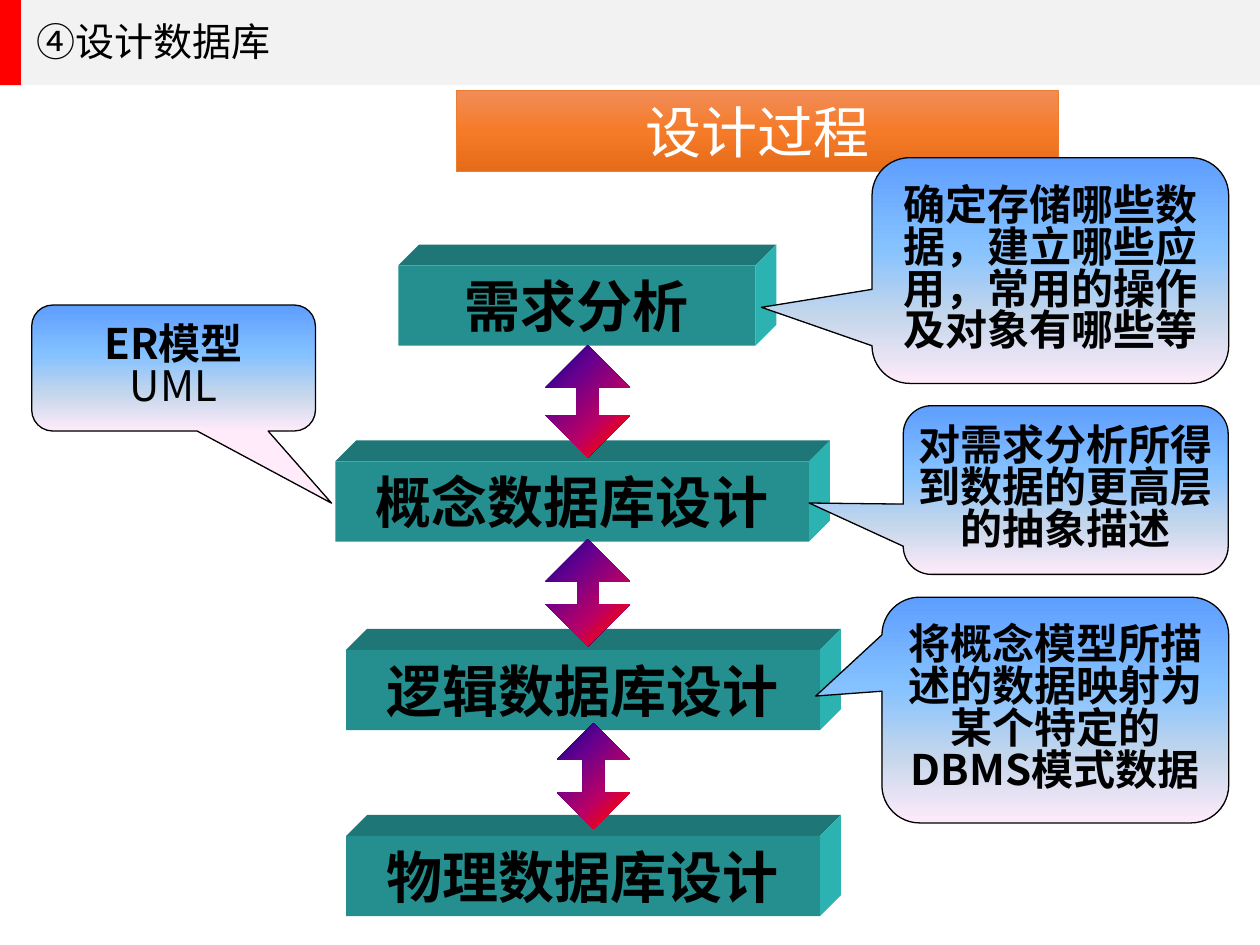
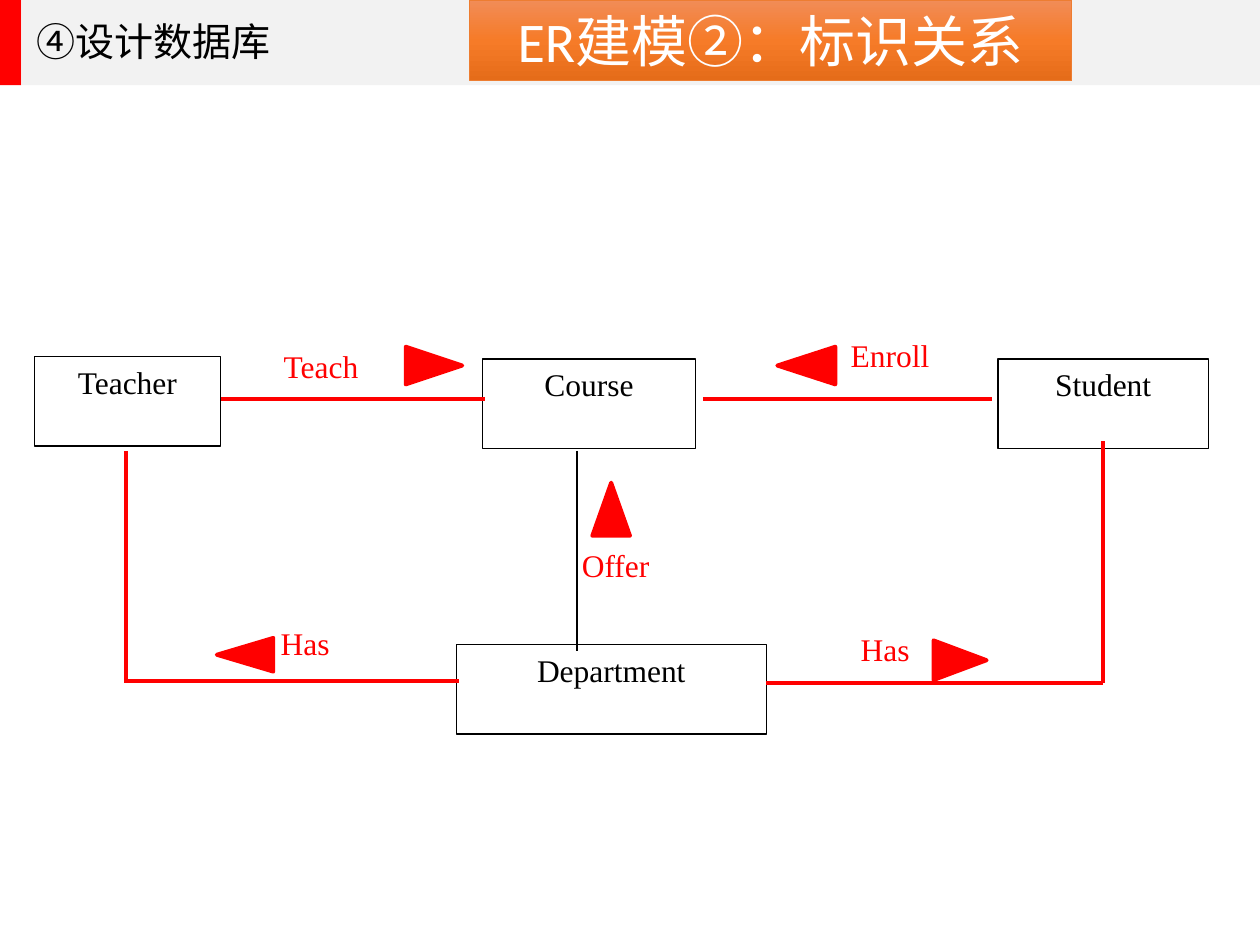
from pptx import Presentation
from pptx.dml.color import RGBColor as Rgb
from pptx.enum.shapes import MSO_CONNECTOR as Link, MSO_SHAPE as Kind
from pptx.enum.text import MSO_ANCHOR as Anchor, MSO_AUTO_SIZE as Fit, PP_ALIGN as Align
from pptx.oxml.ns import qn
from pptx.util import Cm, Pt
from lxml.etree import SubElement

HUES = {
    "red": "FF0000", "band": "F2F2F2", "black": "000000", "white": "FFFFFF",
    "edge": "ED7D31", "front": "248F8E", "top": "1E7676", "side": "2DB2B2",
}
FADES = {
    "orange": (90, [(0, "F18C57"), (50, "F67B28"), (100, "E56C19")]),
    "sky": (90, [(0, "5E9EFF"), (40, "85C2FF"), (70, "C4D6EB"), (100, "FFEBFA")]),
    "fire": (45, [(0, "000082"), (30, "66008F"), (65, "BA0066"),
                  (90, "FF0000"), (100, "FF8200")]),
}
SANS, HAN, SERIF = "Calibri", "Noto Sans CJK JP", "Times New Roman"


def hue(name):
    return Rgb.from_string(HUES[name])


def write(shape, *lines, font=HAN, size=24, color="black", bold=False,
          align=Align.CENTER, anchor=Anchor.MIDDLE, inset=None, gap=None, wrap=True):
    frame = shape.text_frame
    frame.auto_size = Fit.NONE
    frame.word_wrap = wrap
    frame.vertical_anchor = anchor
    if inset is not None:
        frame.margin_left = frame.margin_right = Cm(inset)
        frame.margin_top = frame.margin_bottom = Cm(inset)
    for i, line in enumerate(lines):
        para = frame.add_paragraph() if i else frame.paragraphs[0]
        para.alignment = align
        para.line_spacing = gap
        run = para.add_run()
        run.text = line
        run.font.name = font
        run.font.size = Pt(size)
        run.font.bold = bold and i == 0
        run.font.color.rgb = hue(color)
        SubElement(run.font._element, qn("a:ea"), typeface=HAN)


class Deck:
    def __init__(self):
        self.prs = Presentation()
        self.prs.slide_width, self.prs.slide_height = Cm(25.4), Cm(19.05)
        self.slide = None

    def start(self, title):
        layout = self.prs.slide_layouts[5]
        first = self.slide is None
        self.slide = self.prs.slides.add_slide(layout)
        if first:
            bands = [self.shape(Kind.RECTANGLE, 0, 0, 0.43, 1.72, "red"),
                     self.shape(Kind.RECTANGLE, 0.43, 0, 24.97, 1.72, "band")]
            for i, band in enumerate(bands):
                layout.shapes.element.insert(2 + i, band.element)
        head = self.slide.shapes.title
        head.left, head.top, head.width, head.height = Cm(0.48), Cm(0.46), Cm(18.72), Cm(0.97)
        write(head, title, font=SANS, size=22.3, align=Align.LEFT, gap=0.7)

    def paint(self, shape, fill, line=None, width=0.75):
        shape.shadow.inherit = False
        if fill in FADES:
            angle, stops = FADES[fill]
            shape.fill.gradient()
            shape.fill.gradient_angle = 360 - angle
            ramp = shape.element.spPr.find(qn("a:gradFill")).find(qn("a:gsLst"))
            for old in list(ramp):
                ramp.remove(old)
            for pos, tone in stops:
                stop = SubElement(ramp, qn("a:gs"), pos=str(pos * 1000))
                SubElement(stop, qn("a:srgbClr"), val=tone)
        else:
            shape.fill.solid()
            shape.fill.fore_color.rgb = hue(fill)
        if line:
            shape.line.color.rgb = hue(line)
            shape.line.width = Pt(width)
        else:
            shape.line.fill.background()
        return shape

    def shape(self, kind, x, y, w, h, fill, line=None, width=0.75, adjust=()):
        shape = self.slide.shapes.add_shape(kind, Cm(x), Cm(y), Cm(w), Cm(h))
        for i, value in enumerate(adjust):
            shape.adjustments[i] = value
        return self.paint(shape, fill, line, width)

    def outline(self, points, fill, line=None, width=0.75):
        first, *rest = [(Cm(x), Cm(y)) for x, y in points]
        pen = self.slide.shapes.build_freeform(*first)
        pen.add_line_segments(rest, close=True)
        return self.paint(pen.convert_to_shape(), fill, line, width)

    def banner(self, x, y, text):
        box = self.shape(Kind.RECTANGLE, x, y, 12.14, 1.63, "orange", "edge", 0.5)
        write(box, text, font=SANS, size=32, color="white")

    def slab(self, x, y, w, text, h=1.62, deep=0.42):
        right, low = x + w, y + h
        self.outline([(x, y), (x + deep, y - deep), (right + deep, y - deep), (right, y)], "top")
        self.outline([(right, y), (right + deep, y - deep),
                      (right + deep, low - deep), (right, low)], "side")
        write(self.shape(Kind.RECTANGLE, x, y, w, h, "front"), text, size=32, bold=True)

    def callout(self, x, y, w, h, tip, *lines, wrap=True):
        box = self.shape(Kind.ROUNDED_RECTANGULAR_CALLOUT, x, y, w, h, "sky", "black",
                         adjust=(*tip, 0.167))
        write(box, *lines, bold=True, inset=0.05, gap=0.83, wrap=wrap)

    def arrow(self, x, y, w, h, head):
        self.shape(Kind.UP_DOWN_ARROW, x, y, w, h, "fire", adjust=(0.317, head))

    def entity(self, x, y, w, text):
        box = self.shape(Kind.RECTANGLE, x, y, w, 1.8, "white", "black")
        write(box, text, font=SERIF, size=18, anchor=Anchor.TOP)

    def label(self, x, y, text):
        box = self.slide.shapes.add_textbox(Cm(x), Cm(y), Cm(2.8), Cm(0.82))
        write(box, text, font=SERIF, size=18, color="red", align=Align.LEFT,
              anchor=Anchor.TOP, inset=0)

    def line(self, x1, y1, x2, y2, color="red", width=2.25):
        link = self.slide.shapes.add_connector(Link.STRAIGHT, Cm(x1), Cm(y1), Cm(x2), Cm(y2))
        link.line.color.rgb = hue(color)
        link.line.width = Pt(width)
        SubElement(link.element.spPr, qn("a:effectLst"))

    def pointer(self, base, tip, y, half):
        self.outline([(base, y - half), (tip, y), (base, y + half)], "red", "red", 2.25)


def process(deck):
    deck.start("④设计数据库")
    deck.banner(9.2, 1.83, "设计过程")
    for x, y, w, text in [
        (8.03, 5.35, 7.2, "需求分析"),
        (6.76, 9.3, 9.55, "概念数据库设计"),
        (6.98, 13.1, 9.55, "逻辑数据库设计"),
        (6.98, 16.85, 9.55, "物理数据库设计"),
    ]:
        deck.slab(x, y, w, text)
    deck.callout(17.58, 3.18, 7.19, 4.55, (-0.81, 0.163),
                 "确定存储哪些数据，建立哪些应用，常用的操作及对象有哪些等")
    deck.callout(18.21, 8.18, 6.55, 3.4, (-0.79, 0.077),
                 "对需求分析所得到数据的更高层的抽象描述")
    deck.callout(17.78, 12.04, 6.99, 4.55, (-0.691, -0.062),
                 "将概念模型所描述的数据映射为某个特定的DBMS模式数据")
    deck.callout(0.64, 6.15, 5.72, 2.54, (0.557, 1.073), "ER模型", "UML", wrap=False)
    deck.arrow(11.23, 14.58, 1.47, 2.13, 0.289)
    deck.arrow(11, 6.96, 1.7, 2.26, 0.267)
    deck.arrow(11, 10.87, 1.7, 2.16, 0.255)


def relations(deck):
    deck.start("④设计数据库")
    deck.banner(9.47, 0, "ER建模②：标识关系")
    for x, y, w, text in [
        (20.12, 7.24, 4.24, "Student"),
        (9.2, 13, 6.25, "Department"),
        (9.73, 7.24, 4.29, "Course"),
        (0.69, 7.19, 3.76, "Teacher"),
    ]:
        deck.entity(x, y, w, text)
    for ends in [
        (4.45, 8.05, 9.78, 8.05),
        (14.17, 8.05, 19.99, 8.05),
        (2.54, 9.09, 2.54, 13.77),
        (2.54, 13.72, 9.25, 13.72),
        (22.23, 8.89, 22.23, 13.77),
        (15.44, 13.77, 22.23, 13.77),
    ]:
        deck.line(*ends)
    deck.line(11.63, 9.09, 11.63, 13.13, "black", 0.75)
    for x, y, text in [
        (5.72, 6.99, "Teach"),
        (17.15, 6.78, "Enroll"),
        (11.73, 11, "Offer"),
        (5.66, 12.57, "Has"),
        (17.35, 12.7, "Has"),
    ]:
        deck.label(x, y, text)
    for base, tip, y, half in [
        (8.18, 9.32, 7.37, 0.38),
        (16.84, 15.67, 7.37, 0.38),
        (18.82, 19.89, 13.31, 0.4),
        (5.51, 4.37, 13.2, 0.34),
    ]:
        deck.pointer(base, tip, y, half)
    offer = deck.shape(Kind.FLOWCHART_MERGE, 11.94, 9.73, 0.76, 1.07, "red", "red", 2.25)
    offer.rotation = 180


def main():
    deck = Deck()
    process(deck)
    relations(deck)
    deck.prs.save("out.pptx")


if __name__ == "__main__":
    main()
